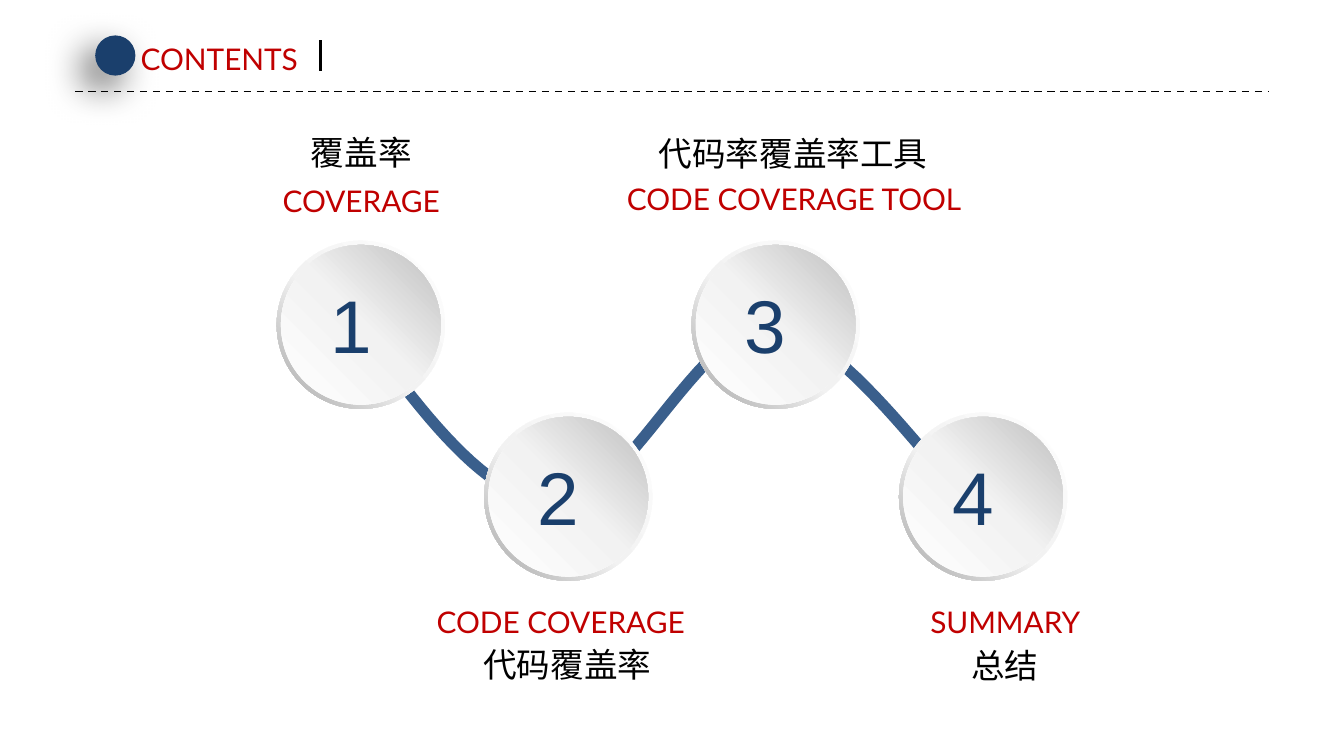
from lxml import etree
from pptx import Presentation
from pptx import util as u
from pptx.dml.color import RGBColor
from pptx.enum import dml, shapes, text
from pptx.oxml import parse_xml
from pptx.oxml.ns import nsdecls, qn

NAVY, BLUE, RED, BLACK = "1A3F6C", "3A5F8C", "C00000", "000000"

# All positions and sizes are in centimetres.
LATIN = {"name": "Lato", "size": u.Pt(16), "color": RED}
CHINESE = {"name": "Noto Sans CJK SC", "size": u.Pt(18), "color": BLACK}
NUMBER = {"name": "Arial", "size": u.Pt(40), "color": NAVY}

# Each label: words, centre x, top, width
STEPS = [
    (("COVERAGE", 6.83, 3.33, 3.56), ("覆盖率", 6.83, 2.36, 2.44)),
    (("CODE COVERAGE", 10.6, 11.28, 5.31), ("代码覆盖率", 10.72, 12.04, 3.71)),
    (("CODE COVERAGE TOOL", 15.01, 3.3, 7.01), ("代码率覆盖率工具", 14.99, 2.39, 5.64)),
    (("SUMMARY", 19, 11.28, 3.45), ("总结", 18.99, 12.07, 1.8)),
]
FIRST_LEFT, STEP_PITCH = 5.23, 3.92
ROW_TOPS = (4.55, 7.8)
RING_SIZE, DISC_SIZE = 3.18, 3.02
RING_STOPS = [(0, "FFFFFF"), (55, "F2F2F2"), (100, "A6A6A6")]
DISC_STOPS = [(0, "FFFFFF"), (51, "F2F2F2"), (100, "BFBFBF")]

# Start point, then cubic Bézier pieces (two handles and an end point)
WAVE_START = (6.71, 6.07)
WAVE_PIECES = [
    ((7.95, 7.77), (9.22, 9.5), (10.52, 9.52)),
    ((11.81, 9.52), (13.21, 6.15), (14.53, 6.17)),
    ((15.85, 6.17), (17.81, 9.14), (18.44, 9.6)),
]


def color(hex_value):
    return RGBColor.from_string(hex_value)


def add_gradient(shape, stops, angle):
    """Fill with a linear gradient; the angle runs clockwise in degrees."""
    marks = "".join(
        f'<a:gs pos="{place * 1000}"><a:srgbClr val="{shade}"/></a:gs>'
        for place, shade in stops)
    fill = parse_xml(
        f'<a:gradFill {nsdecls("a")} rotWithShape="1"><a:gsLst>{marks}</a:gsLst>'
        f'<a:lin ang="{angle * 60000}" scaled="0"/></a:gradFill>')
    shape._element.spPr.find(qn("a:prstGeom")).addnext(fill)


def add_round(parent, kind, left, top, size):
    shape = parent.add_shape(kind, *map(u.Cm, (left, top, size, size)))
    shape.shadow.inherit = False
    shape.line.fill.background()
    return shape


def add_text(parent, words, left, top, width, height, style, align):
    box = parent.add_textbox(*map(u.Cm, (left, top, width, height)))
    frame = box.text_frame
    frame.word_wrap = False
    frame.auto_size = text.MSO_AUTO_SIZE.SHAPE_TO_FIT_TEXT
    para = frame.paragraphs[0]
    para.alignment = align
    span = para.add_run()
    span.text = words
    for key, value in style.items():
        if key == "color":
            span.font.color.rgb = color(value)
        else:
            setattr(span.font, key, value)
    east_asian = etree.SubElement(span.font._element, qn("a:ea"))
    east_asian.set("typeface", style["name"])


def add_rule(parent, start, end, width, dash=None):
    rule = parent.add_connector(
        shapes.MSO_CONNECTOR.STRAIGHT, *map(u.Cm, start + end))
    rule.line.color.rgb = color(BLACK)
    rule.line.width = u.Pt(width)
    if dash:
        rule.line.dash_style = dash
    etree.SubElement(rule._element.spPr, qn("a:effectLst"))


def wave_points(count=24):
    """Sample every Bézier piece at equal parameter steps."""
    start = WAVE_START
    for first, second, end in WAVE_PIECES:
        for index in range(1, count + 1):
            t = index / count
            weights = ((1 - t) ** 3, 3 * t * (1 - t) ** 2, 3 * t * t * (1 - t), t ** 3)
            corners = (start, first, second, end)
            yield tuple(
                u.Cm(sum(w * corner[axis] for w, corner in zip(weights, corners)))
                for axis in (0, 1))
        start = end


def add_wave(parent):
    builder = parent.build_freeform(*map(u.Cm, WAVE_START))
    builder.add_line_segments(list(wave_points()), close=False)
    wave = builder.convert_to_shape()
    wave.shadow.inherit = False
    wave.fill.background()
    wave.line.color.rgb = color(BLUE)
    wave.line.width = u.Pt(6)


def add_header(parent):
    add_rule(parent, (1.42, 1.73), (23.98, 1.73), 1, dml.MSO_LINE.DASH)
    dot = add_round(parent, shapes.MSO_SHAPE.OVAL, 1.8, 0.67, 0.76)
    dot.fill.solid()
    dot.fill.fore_color.rgb = color(NAVY)
    effects = dot._element.spPr.find(qn("a:effectLst"))
    effects.append(parse_xml(
        f'<a:outerShdw {nsdecls("a")} blurRad="{u.Pt(20)}" dist="{u.Pt(10)}" '
        f'dir="{135 * 60000}" algn="tr" rotWithShape="0"><a:srgbClr val="{BLACK}">'
        '<a:alpha val="60000"/></a:srgbClr></a:outerShdw>'))
    add_text(parent, "CONTENTS", 2.41, 0.64, 3.73, 0.94, LATIN, text.PP_ALIGN.LEFT)
    add_rule(parent, (6.05, 0.76), (6.05, 1.35), 1.5)


def add_badge(parent, number, left, top):
    badge = parent.add_group_shape().shapes
    ring = add_round(badge, shapes.MSO_SHAPE.DONUT, left, top, RING_SIZE)
    ring.adjustments[0] = 0.05
    add_gradient(ring, RING_STOPS, 135)
    inset = (RING_SIZE - DISC_SIZE) / 2
    disc = add_round(badge, shapes.MSO_SHAPE.OVAL, left + inset, top + inset, DISC_SIZE)
    add_gradient(disc, DISC_STOPS, 315)
    add_text(badge, str(number), left + 0.76, top + 0.6, 1.63, 1.96, NUMBER,
             text.PP_ALIGN.LEFT)


def main():
    deck = Presentation()
    deck.slide_width, deck.slide_height = u.Cm(25.4), u.Cm(14.29)
    page = deck.slides.add_slide(deck.slide_layouts[6]).shapes
    add_wave(page)
    add_header(page)
    for index, labels in enumerate(STEPS):
        add_badge(page, index + 1, FIRST_LEFT + index * STEP_PITCH, ROW_TOPS[index % 2])
        for (words, centre, top, width), style in zip(labels, (LATIN, CHINESE)):
            add_text(page, words, centre - width / 2, top, width, 1, style,
                     text.PP_ALIGN.CENTER)
    deck.save("out.pptx")


if __name__ == "__main__":
    main()
